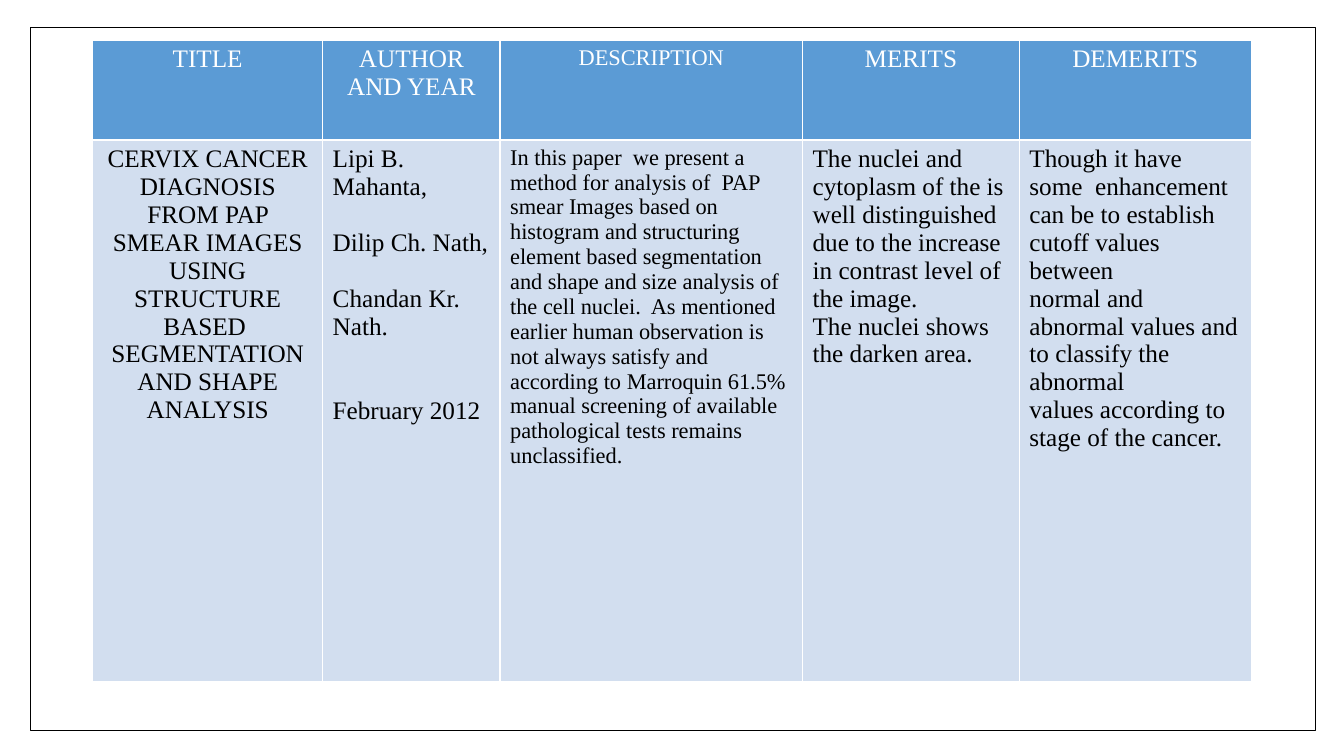
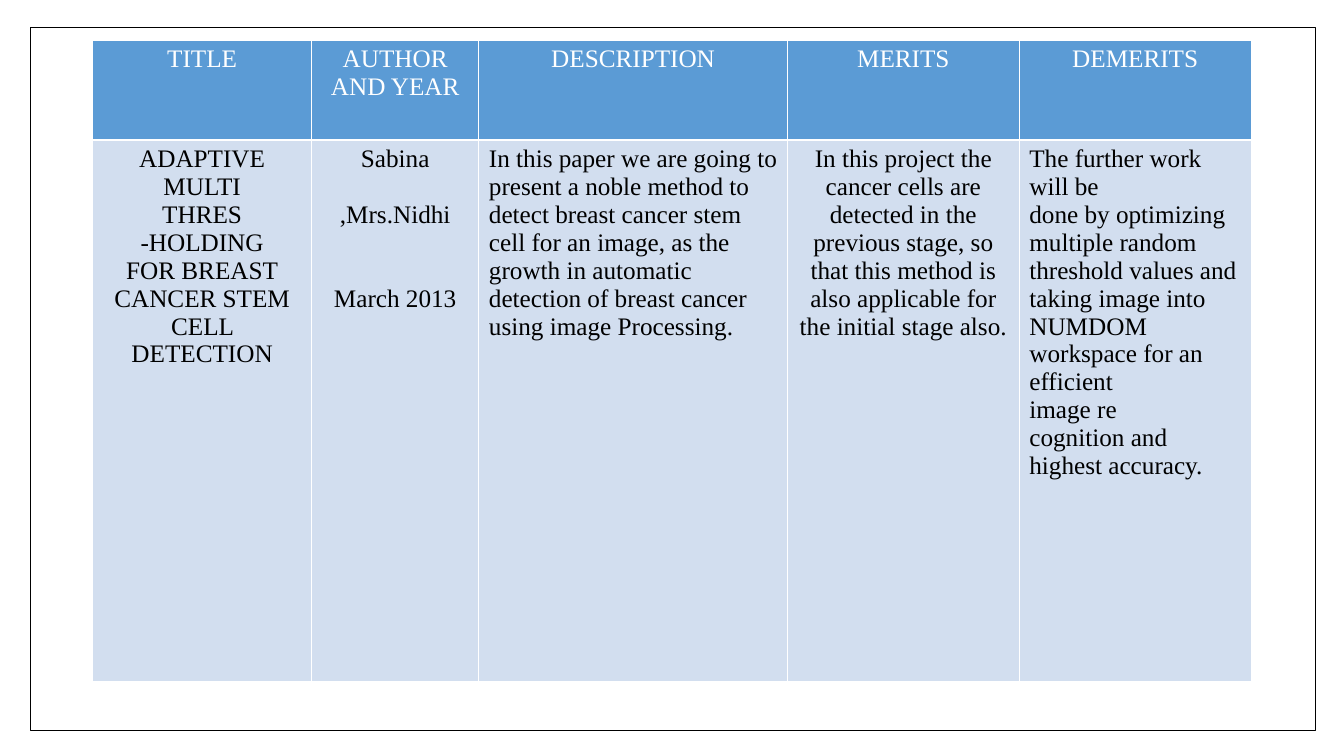
from dataclasses import dataclass
from itertools import zip_longest

from lxml import etree
from pptx import Presentation
from pptx.dml.color import RGBColor
from pptx.enum.shapes import MSO_SHAPE
from pptx.enum.text import PP_ALIGN
from pptx.oxml.ns import qn
from pptx.util import Pt

LEFT, CENTER = PP_ALIGN.LEFT, PP_ALIGN.CENTER
RECTANGLE = MSO_SHAPE.RECTANGLE
EMU_PER_PX = 9144
SLIDE_SIZE = (1333, 750)
FRAME_BOX = (30, 27, 1275, 698)
TABLE_ORIGIN = (92, 40)
ROW_HEIGHTS = (99, 537)
HEADINGS = ("TITLE", "AUTHOR AND YEAR", "DESCRIPTION", "MERITS", "DEMERITS")
BORDER_SIDES = ("a:lnL", "a:lnR", "a:lnT", "a:lnB")


@dataclass(frozen=True)
class Theme:
    """Colours, font and type sizes shared by the slides."""
    font: str = "Times New Roman"
    heading_fill: str = "5B9BD5"
    body_fill: str = "D2DEEF"
    white: str = "FFFFFF"
    black: str = "000000"
    normal: int = 18
    small: int = 16
    blank_line: int = 20
    rule: int = 1


THEME = Theme()


@dataclass(frozen=True)
class Column:
    """One table column: its width, body text and format."""
    width: int
    text: str
    align: PP_ALIGN = LEFT
    size: int = THEME.normal
    gaps: tuple = ()


CERVIX_PAPER = (
    Column(228, "CERVIX CANCER DIAGNOSIS FROM PAP SMEAR IMAGES USING STRUCTURE BASED \n"
                "SEGMENTATION AND SHAPE ANALYSIS", align=CENTER),
    Column(176, "Lipi B. Mahanta,\nDilip Ch. Nath,\nChandan Kr. Nath.\nFebruary 2012",
           gaps=(0, 1, 1, 2)),
    Column(300, "In this paper  we present a method for analysis of  PAP smear Images based on "
                "histogram and structuring element based segmentation and shape and size "
                "analysis of the cell nuclei.  As mentioned earlier human observation is not "
                "always satisfy and according to Marroquin 61.5% manual screening of available "
                "pathological tests remains unclassified.", size=THEME.small),
    Column(215, "The nuclei and cytoplasm of the is well distinguished due to the increase in "
                "contrast level of the image.\nThe nuclei shows the darken area."),
    Column(230, "Though it have some  enhancement can be to establish cutoff values between\n"
                "normal and abnormal values and to classify the abnormal\n"
                "values according to stage of the cancer."),
)
STEM_CELL_PAPER = (
    Column(217, "ADAPTIVE\nMULTI\nTHRES\n-HOLDING\nFOR BREAST\nCANCER STEM\nCELL DETECTION",
           align=CENTER),
    Column(166, "Sabina\n,Mrs.Nidhi\nMarch 2013", align=CENTER, gaps=(0, 1, 2)),
    Column(306, "In this paper we are going to present a noble method to detect breast cancer "
                "stem cell for an image, as the growth in automatic detection of breast cancer "
                "using image Processing."),
    Column(230, "In this project the cancer cells are detected in the previous stage, so that "
                "this method is also applicable for the initial stage also.", align=CENTER),
    Column(230, "The further work will be\n"
                "done by optimizing multiple random threshold values and taking image into "
                "NUMDOM workspace for an efficient\nimage re\n"
                "cognition and highest accuracy."),
)


def px(length):
    """Turn pixels into EMU."""
    return length * EMU_PER_PX


def write_text(frame, text, *, size, color, align, gaps=()):
    """Write one paragraph per line, each with its count of empty lines above."""
    for index, (line, gap) in enumerate(zip_longest(text.split("\n"), gaps, fillvalue=0)):
        para = frame.add_paragraph() if index else frame.paragraphs[0]
        para.alignment = align
        para.space_before = Pt(gap * THEME.blank_line)
        span = para.add_run()
        span.text = line
        span.font.name = THEME.font
        span.font.size = Pt(size)
        span.font.color.rgb = RGBColor.from_string(color)


def style_cell(cell, fill):
    """Give a cell thin white borders and a plain fill."""
    properties = cell._tc.get_or_add_tcPr()
    for side in BORDER_SIDES:
        border = etree.SubElement(properties, qn(side), w=str(Pt(THEME.rule)))
        paint = etree.SubElement(border, qn("a:solidFill"))
        etree.SubElement(paint, qn("a:srgbClr"), val=THEME.white)
    cell.fill.solid()
    cell.fill.fore_color.rgb = RGBColor.from_string(fill)


def add_review_table(page, columns):
    """Add a table with a heading row and one reviewed paper."""
    width = sum(column.width for column in columns)
    box = (*TABLE_ORIGIN, width, sum(ROW_HEIGHTS))
    table = page.shapes.add_table(len(ROW_HEIGHTS), len(columns), *map(px, box)).table
    table.horz_banding = False
    table.first_row = False
    for row, height in zip(table.rows, ROW_HEIGHTS):
        row.height = px(height)
    for index, (heading, column) in enumerate(zip(HEADINGS, columns)):
        table.columns[index].width = px(column.width)
        top, body = table.cell(0, index), table.cell(1, index)
        style_cell(top, THEME.heading_fill)
        style_cell(body, THEME.body_fill)
        write_text(top.text_frame, heading, size=column.size, color=THEME.white, align=CENTER)
        write_text(body.text_frame, column.text, size=column.size, color=THEME.black,
                   align=column.align, gaps=column.gaps)


def add_frame(page):
    """Add the thin outline around the page."""
    frame = page.shapes.add_shape(RECTANGLE, *map(px, FRAME_BOX))
    frame.shadow.inherit = False
    frame.fill.background()
    frame.line.color.rgb = RGBColor.from_string(THEME.black)
    frame.line.width = Pt(THEME.rule)


def main():
    """Build the deck, one page per paper."""
    deck = Presentation()
    deck.slide_width, deck.slide_height = map(px, SLIDE_SIZE)
    for paper in (CERVIX_PAPER, STEM_CELL_PAPER):
        page = deck.slides.add_slide(deck.slide_layouts[6])
        add_review_table(page, paper)
        add_frame(page)
    deck.save("out.pptx")


if __name__ == "__main__":
    main()
